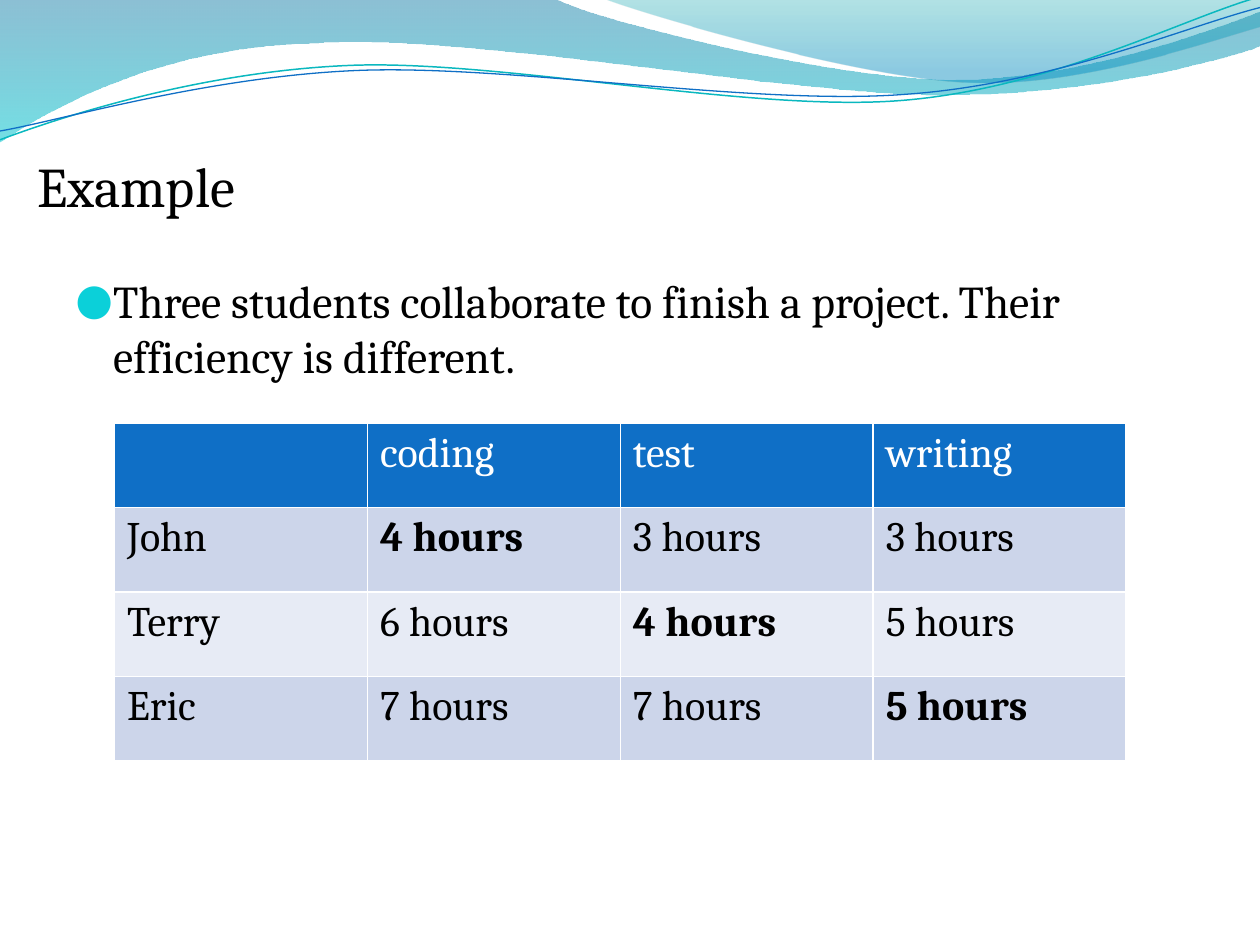
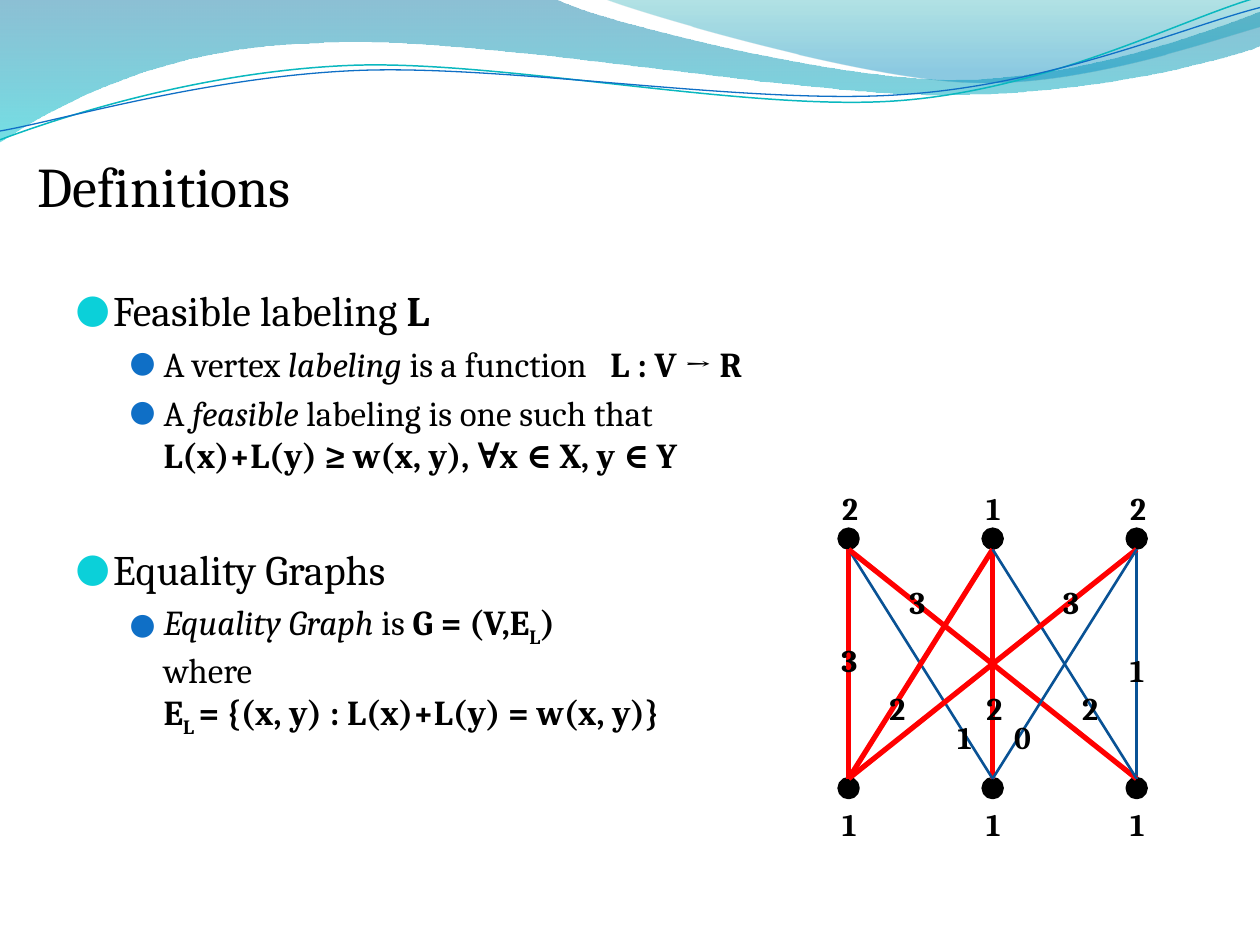
from dataclasses import dataclass

from pptx import Presentation
from pptx.dml.color import RGBColor
from pptx.enum.shapes import MSO_CONNECTOR, MSO_SHAPE
from pptx.oxml import parse_xml
from pptx.oxml.ns import nsdecls, qn
from pptx.oxml.xmlchemy import OxmlElement
from pptx.util import Inches, Pt


@dataclass(frozen=True)
class Theme:
    font: str = "Cambria"
    ink: RGBColor = RGBColor.from_string("000000")
    white: RGBColor = RGBColor.from_string("FFFFFF")
    blue: RGBColor = RGBColor.from_string("0F6FC6")
    teal: RGBColor = RGBColor.from_string("0AB8BF")
    aqua: RGBColor = RGBColor.from_string("0BD0D9")
    matched: RGBColor = RGBColor.from_string("FF0000")
    unmatched: RGBColor = RGBColor.from_string("095295")
    bands: tuple = (RGBColor.from_string("E7EBF5"), RGBColor.from_string("CCD5EA"))
    title: int = 32
    lead: int = 26
    topic: int = 24
    detail: int = 20
    label: int = 18


theme = Theme()
deck = Presentation()
deck.slide_width, deck.slide_height = Inches(10), Inches(7.5)
UNIT = deck.slide_width / 100  # grid of 100 columns by 75 rows

# Indent, hanging indent, bullet colour and bullet size for each list level
BULLETS = [(3, 3, theme.aqua, 95), (7, 2.7, theme.blue, 85)]


def grid(*counts):
    """Turn counts of grid columns or rows into whole EMU."""
    return [round(count * UNIT) for count in counts]


def add_text(page, area, paragraphs):
    """Each paragraph is (level or None, size, space before, [(text, style), ...])."""
    box = page.shapes.add_textbox(*grid(*area))
    frame = box.text_frame
    frame.word_wrap = True
    for number, (level, size, before, spans) in enumerate(paragraphs):
        para = frame.add_paragraph() if number else frame.paragraphs[0]
        if level is not None:
            indent, hang, color, percent = BULLETS[level]
            properties = para._p.get_or_add_pPr()
            left, first = grid(indent, -hang)
            properties.set("marL", str(left))
            properties.set("indent", str(first))
            for mark in (
                f'<a:buClr {nsdecls("a")}><a:srgbClr val="{color}"/></a:buClr>',
                f'<a:buSzPct {nsdecls("a")} val="{percent * 1000}"/>',
                f'<a:buFont {nsdecls("a")} typeface="{theme.font}"/>',
                f'<a:buChar {nsdecls("a")} char="●"/>',
            ):
                properties.append(parse_xml(mark))
        para.space_before = Pt(before)
        for text, style in spans:
            for line, piece in enumerate(text.split("\n")):
                if line:
                    para.add_line_break()
                if not piece:
                    continue
                span = para.add_run()
                span.text = piece
                span.font.name, span.font.size = theme.font, Pt(size)
                span.font.color.rgb = theme.ink
                span.font.bold = "bold" in style
                span.font.italic = "italic" in style
                if "sub" in style:
                    span.font._element.set("baseline", "-25000")
                if "wide" in style:
                    span.font._element.set("spc", "900")
    return box


# Waves: start, then straight (2 numbers) or curved (6 numbers) segments, in grid units
BROAD_WAVE = [
    (0, 0), (44, -0.1), (47.6, 1.7, 66.4, 6.3, 75.8, 6.3), (85.3, 6.3, 95.8, 2.6, 100, 0.9),
    (100.1, 3.6), (98.3, 4.4, 87, 7.6, 74.6, 7.5), (62.2, 7.5, 38.2, 2.8, 25.7, 3.4),
    (12.9, 3.6, 4.6, 8.3, -0.1, 11.3), (0, 0),
]
RIGHT_WAVE = [
    (47.9, -0.1), (50.9, 1.1, 68.2, 6.2, 76.9, 6.5), (85.6, 6.9, 96.1, 3.2, 100, 2.1),
    (100, 0), (47.9, -0.1),
]
TEAL_LINE = [
    (0, 11.1), (4.8, 9.3, 15.8, 5.7, 27.7, 5.2), (39.5, 4.7, 59.3, 8.9, 71.3, 8),
    (83.3, 7.1, 93.8, 1.5, 99.8, -0.2),
]
BLUE_LINE = [
    (0, 10.4), (4.7, 9.6, 16.4, 6.1, 28.3, 5.6), (40.3, 5.1, 59.7, 8.4, 71.7, 7.5),
    (83.6, 6.7, 94.1, 2.1, 100, 0.6),
]
# Outline, gradient stops (colour, place, opacity), line colour and width
WAVES = [
    (BROAD_WAVE, [("0074A1", 0, 45), ("00C6CF", 1, 55)], None, 0),
    (RIGHT_WAVE, [("00A1A9", 0, 30), ("008BBF", 0.8, 45)], None, 0),
    (TEAL_LINE, None, theme.teal, 0.85),
    (BLUE_LINE, None, theme.blue, 0.75),
]

pages = []
for heading in ("Example", "Definitions"):
    page = deck.slides.add_slide(deck.slide_layouts[6])
    pages.append(page)
    for (start, *segments), stops, line_color, line_width in WAVES:
        outline = page.shapes.build_freeform(*grid(*start))
        for segment in segments:
            corners = [grid(*segment[i:i + 2]) for i in range(0, len(segment), 2)]
            outline.add_line_segments(corners, close=False)
        wave = outline.convert_to_shape()
        wave.shadow.inherit = False
        # Join the three points of each curved segment into one Bézier curve
        steps = iter(list(wave._element.spPr.iter(qn("a:lnTo"))))
        for segment in segments:
            step = next(steps)
            if len(segment) == 6:
                curve = OxmlElement("a:cubicBezTo")
                step.addprevious(curve)
                for part in (step, next(steps), next(steps)):
                    curve.append(part[0])
                    part.getparent().remove(part)
        if stops:
            curve.getparent().append(OxmlElement("a:close"))
            wave.line.fill.background()
            wave.fill.gradient()
            wave.fill.gradient_angle = 270
            for stop, (color, place, _) in zip(wave.fill.gradient_stops, stops):
                stop.color.rgb, stop.position = RGBColor.from_string(color), place
            for tint, (_, _, opacity) in zip(wave._element.spPr.iter(qn("a:srgbClr")), stops):
                alpha = OxmlElement("a:alpha")
                alpha.set("val", str(opacity * 1000))
                tint.append(alpha)
        else:
            wave.fill.background()
            wave.line.color.rgb, wave.line.width = line_color, Pt(line_width)
    add_text(page, (2, 11.5, 89.8, 6.4), [(None, theme.title, 0, [(heading, "")])])

example, definitions = pages

# Example: hours that each student needs, with the chosen task in bold
add_text(example, (5, 21.2, 90, 48), [
    (0, theme.lead, 0, [
        ("Three students collaborate to finish a project. Their efficiency is different.", ""),
    ]),
])
HOURS = [
    ("", "coding", "test", "writing"),
    ("John", "4 hours", "3 hours", "3 hours"),
    ("Terry", "6 hours", "4 hours", "5 hours"),
    ("Eric", "7 hours", "7 hours", "5 hours"),
]
table = example.shapes.add_table(4, 4, *grid(9.1, 33.6, 80.3, 26.8)).table
for row, entries in enumerate(HOURS):
    table.rows[row].height = grid(6.7)[0]
    for column, entry in enumerate(entries):
        table.columns[column].width = grid(20.07)[0]
        cell = table.cell(row, column)
        properties = cell._tc.get_or_add_tcPr()
        for side in "LRTB":
            properties.append(parse_xml(
                f'<a:ln{side} {nsdecls("a")} w="12700"><a:solidFill>'
                f'<a:srgbClr val="{theme.white}"/></a:solidFill></a:ln{side}>'
            ))
        cell.fill.solid()
        cell.fill.fore_color.rgb = theme.bands[row % 2] if row else theme.blue
        if entry:
            span = cell.text_frame.paragraphs[0].add_run()
            span.text = entry
            span.font.name, span.font.size = theme.font, Pt(theme.topic)
            span.font.color.rgb = theme.ink if row else theme.white
            span.font.bold = row > 0 and row == column

# Definitions: the two notions
add_text(definitions, (5, 22.1, 90, 47.9), [
    (0, theme.topic, 0, [("Feasible labeling ", ""), ("L", "bold")]),
    (1, theme.detail, 4, [
        ("A vertex ", ""), ("labeling", "italic"), (" is a function", ""),
        (" ", "wide"), ("L : V → R", "bold"),
    ]),
    (1, theme.detail, 4, [
        ("A ", ""), ("feasible", "italic"), (" labeling is one such that \n", ""),
        ("L(x)+L(y) ≥ w(x, y), ∀x ∈ X, y ∈ Y", "bold"),
    ]),
    (0, theme.topic, 39, [("Equality Graphs", "")]),
    (1, theme.detail, 4, [
        ("Equality Graph ", "italic"), ("is ", ""), ("G = (V,E", "bold"), ("L", "bold sub"),
        (") \n", "bold"), ("where\n", ""), ("E", "bold"), ("L ", "bold sub"),
        ("= {(x, y) : L(x)+L(y) = w(x, y)}", "bold"),
    ]),
])

# Definitions: bipartite graph with vertex labels and edge weights
NODE = 1.5
NODE_X = [67.35 + 11.43 * column for column in range(3)]
EDGE_TOP, EDGE_BOTTOM = 43.6, 61.8
# Node row top, label row top, vertex labels
NODE_ROWS = [(42, 38.3, "212"), (EDGE_BOTTOM, 63.4, "111")]
# Upper vertex, lower vertex, weight, left and top of the weight, in equality graph
EDGES = [
    (0, 0, "3", 65.8, 50.4, True), (1, 1, "2", 77.3, 54.2, True),
    (2, 2, "1", 88.7, 51.2, False), (0, 1, "1", 75, 56.5, False),
    (0, 2, "3", 71.2, 45.8, True), (1, 0, "2", 69.6, 54.2, True),
    (1, 2, "2", 84.9, 54.2, False), (2, 0, "3", 83.4, 45.8, True),
    (2, 1, "0", 79.5, 56.5, False),
]
labels = []
for node_top, label_top, vertex_labels in NODE_ROWS:
    for x, text in zip(NODE_X, vertex_labels):
        node = definitions.shapes.add_shape(
            MSO_SHAPE.FLOWCHART_CONNECTOR, *grid(x - NODE / 2, node_top, NODE, NODE))
        node.shadow.inherit = False
        node.fill.solid()
        node.fill.fore_color.rgb = node.line.color.rgb = theme.ink
        node.line.width = Pt(2)
        labels.append((text, x - 1.5, label_top, 5, 4))
for upper, lower, weight, left, top, equal in EDGES:
    edge = definitions.shapes.add_connector(
        MSO_CONNECTOR.STRAIGHT, *grid(NODE_X[upper], EDGE_TOP, NODE_X[lower], EDGE_BOTTOM))
    edge.line.color.rgb = theme.matched if equal else theme.unmatched
    edge.line.width = Pt(3 if equal else 1.5)
    edge._element.spPr.append(OxmlElement("a:effectLst"))
    labels.append((weight, left, top, 2.3, 3.7))
for text, *area in labels:
    box = add_text(definitions, area, [(None, theme.label, 0, [(text, "bold")])])
    box.text_frame.margin_right = 0

deck.save("out.pptx")
